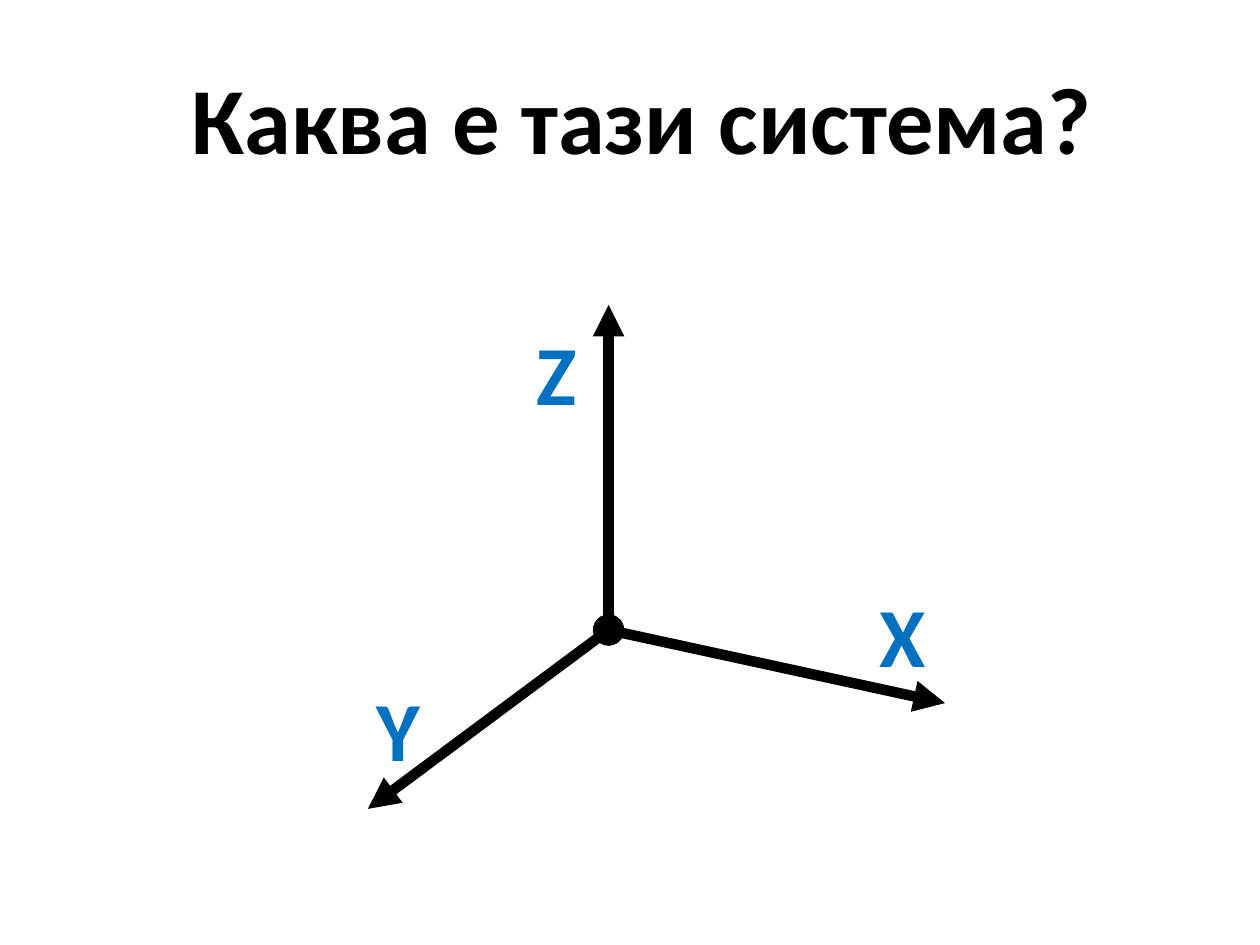
"""Build a slide that asks about a three-axis coordinate system."""
from dataclasses import dataclass

import pptx
import pptx.dml.color
import pptx.enum.shapes
import pptx.enum.text
import pptx.oxml
import pptx.oxml.ns
import pptx.slide
import pptx.text.text
import pptx.util
from pptx.util import Inches


@dataclass(frozen=True)
class Theme:
    font: str = "Calibri"
    ink: str = "000000"
    accent: str = "0070C0"
    background: str = "FFFFFF"
    title_size: int = 54
    label_size: int = 48
    axis_width: int = 6


@dataclass(frozen=True)
class Axis:
    name: str
    tip: tuple[float, float]
    label_corner: tuple[float, float]


THEME = Theme()
ORIGIN = (4.83, 5)
LABEL_SIZE = (0.67, 1)
AXES = (
    Axis("X", (7.5, 5.58), (6.83, 4.58)),
    Axis("Y", (2.92, 6.42), (2.83, 5.33)),
    Axis("Z", (4.83, 2.42), (4.08, 2.5)),
)


def color(value: str) -> pptx.dml.color.RGBColor:
    return pptx.dml.color.RGBColor.from_string(value)


def write(frame: pptx.text.text.TextFrame, text: str, size: int, fill: str,
          alignment: pptx.enum.text.PP_ALIGN, anchor: pptx.enum.text.MSO_ANCHOR) -> None:
    frame.word_wrap = True
    frame.auto_size = pptx.enum.text.MSO_AUTO_SIZE.NONE
    frame.vertical_anchor = anchor
    paragraph = frame.paragraphs[0]
    paragraph.alignment = alignment
    run = paragraph.add_run()
    run.text = text
    run.font.name = THEME.font
    run.font.size = pptx.util.Pt(size)
    run.font.bold = True
    run.font.color.rgb = color(fill)


def add_title(slide: pptx.slide.Slide, text: str) -> None:
    title = slide.shapes.title
    title.left, title.top = Inches(1.42), Inches(0.3)
    title.width, title.height = Inches(8.58), Inches(1.25)
    write(title.text_frame, text, THEME.title_size, THEME.ink,
          pptx.enum.text.PP_ALIGN.LEFT, pptx.enum.text.MSO_ANCHOR.MIDDLE)


def add_arrow(slide: pptx.slide.Slide, axis: Axis) -> None:
    connector = slide.shapes.add_connector(
        pptx.enum.shapes.MSO_CONNECTOR.STRAIGHT, *map(Inches, ORIGIN + axis.tip))
    connector.line.color.rgb = color(THEME.ink)
    connector.line.width = pptx.util.Pt(THEME.axis_width)
    line = connector.line._get_or_add_ln()
    for tag, kind in (("a:headEnd", "oval"), ("a:tailEnd", "triangle")):
        end = pptx.oxml.parse_xml(f"<{tag} {pptx.oxml.ns.nsdecls('a')}/>")
        end.set("type", kind)
        line.append(end)
    connector._element.spPr.append(
        pptx.oxml.parse_xml(f"<a:effectLst {pptx.oxml.ns.nsdecls('a')}/>"))


def add_label(slide: pptx.slide.Slide, axis: Axis) -> None:
    label = slide.shapes.add_textbox(*map(Inches, axis.label_corner + LABEL_SIZE))
    write(label.text_frame, axis.name, THEME.label_size, THEME.accent,
          pptx.enum.text.PP_ALIGN.CENTER, pptx.enum.text.MSO_ANCHOR.TOP)


def main() -> None:
    presentation = pptx.Presentation()
    presentation.slide_width, presentation.slide_height = Inches(10), Inches(7.5)
    slide = presentation.slides.add_slide(presentation.slide_layouts[5])
    slide.background.fill.solid()
    slide.background.fill.fore_color.rgb = color(THEME.background)
    add_title(slide, "Каква е тази система?")
    for axis in AXES:
        add_arrow(slide, axis)
    for axis in reversed(AXES):
        add_label(slide, axis)
    presentation.save("out.pptx")


if __name__ == "__main__":
    main()
